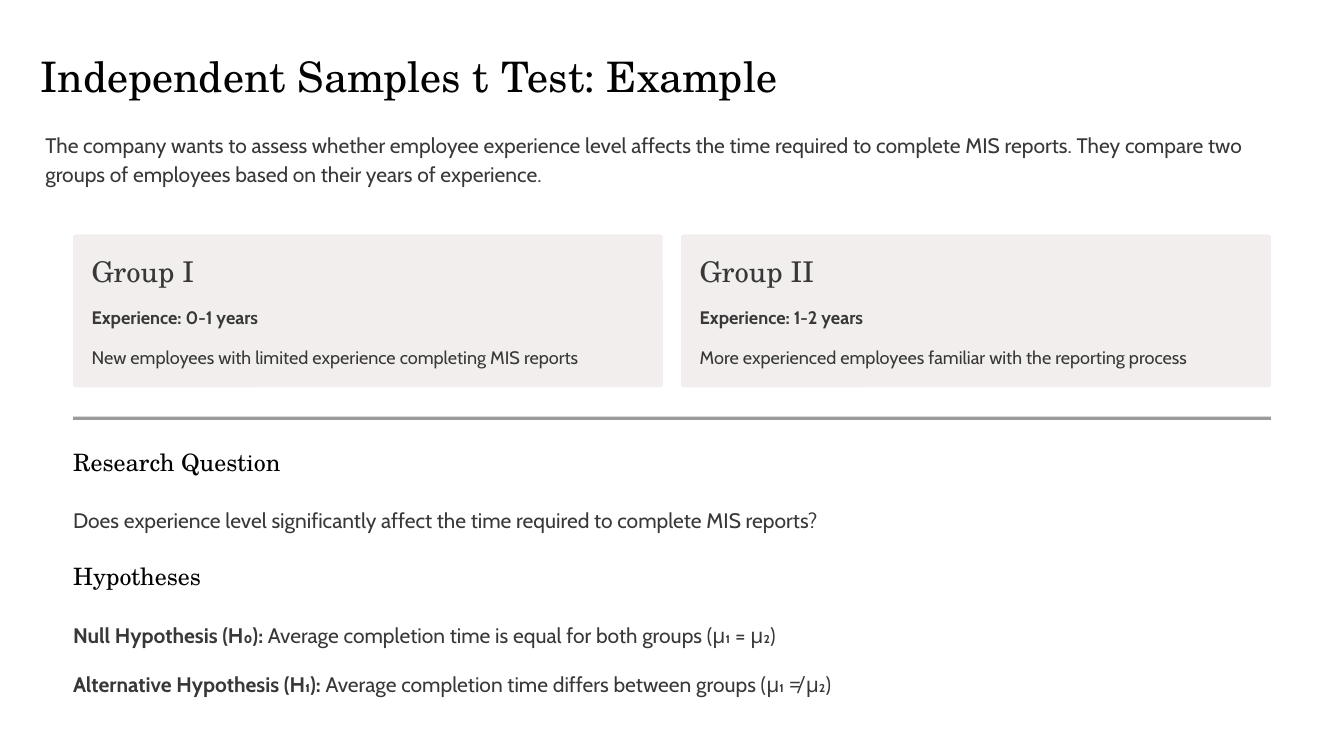
from lxml.etree import SubElement
from pptx import Presentation
from pptx.dml.color import RGBColor
from pptx.enum.shapes import MSO_SHAPE as SHAPE
from pptx.enum.text import MSO_ANCHOR as ANCHOR, MSO_AUTO_SIZE as FIT, PP_ALIGN as ALIGN
from pptx.oxml.ns import qn
from pptx.util import Inches, Pt

COLORS = {"paper": "FFFFFF", "title": "020202", "body": "383838", "card": "F2EEEE"}
SERIF, SANS = "TeX Gyre Schola", "Cabin"
LEFT, WIDE = 0.87, 14.26

deck = Presentation()
deck.slide_width, deck.slide_height = Inches(16), Inches(9)
slide = deck.slides.add_slide(deck.slide_layouts[5])
slide.background.fill.solid()
slide.background.fill.fore_color.rgb = RGBColor.from_string(COLORS["paper"])


def write(runs, x, y, w, h, size, line, face=SANS, color="body", wrap=True, box=None):
    """Fill a box, new unless given, with one line of (text, bold) runs."""
    box = box or slide.shapes.add_textbox(0, 0, 0, 0)
    box.left, box.top, box.width, box.height = (Inches(n) for n in (x, y, w, h))
    frame = box.text_frame
    frame.margin_left = frame.margin_top = frame.margin_right = frame.margin_bottom = 0
    frame.auto_size, frame.word_wrap = FIT.NONE, wrap
    frame.vertical_anchor = ANCHOR.TOP
    para = frame.paragraphs[0]
    para.alignment, para.line_spacing = ALIGN.LEFT, Pt(line)
    for text, bold in runs:
        run = para.add_run()
        run.text = text
        font = run.font
        font.name, font.size, font.bold = face, Pt(size), bold
        font.color.rgb = RGBColor.from_string(COLORS[color])


def block(kind, x, y, w, h, color):
    shape = slide.shapes.add_shape(kind, Inches(x), Inches(y), Inches(w), Inches(h))
    shape.shadow.inherit = False
    shape.line.fill.background()
    shape.fill.solid()
    shape.fill.fore_color.rgb = RGBColor.from_string(COLORS[color])
    return shape


write([("Independent Samples t Test: Example", False)], 0.48, 0.49, 9.55, 0.71,
      36, 51, SERIF, "title", False, slide.shapes.title)
write([("The company wants to assess whether employee experience level affects the time "
        "required to complete MIS reports. They compare two groups of employees based on "
        "their years of experience.", False)], 0.54, 1.53, WIDE, 0.69, 18, 25)

# Group cards
groups = [
    ("Group I", "Experience: 0-1 years",
     "New employees with limited experience completing MIS reports"),
    ("Group II", "Experience: 1-2 years",
     "More experienced employees familiar with the reporting process"),
]
for i, (name, years, note) in enumerate(groups):
    x = LEFT + i * 7.24
    card = block(SHAPE.ROUNDED_RECTANGLE, x, 2.79, 7.02, 1.82, "card")
    card.adjustments[0] = 0.018
    write([(name, False)], x + 0.22, 3.01, 3.42, 0.43, 24.5, 30.5, SERIF, wrap=False)
    write([(years, True)], x + 0.22, 3.56, 6.59, 0.35, 15.5, 25, wrap=False)
    write([(note, False)], x + 0.22, 4.04, 6.59, 0.35, 15.5, 25, wrap=False)

# Half-transparent divider
rule = block(SHAPE.RECTANGLE, LEFT, 4.96, WIDE, 0.04, "body")
tint = rule.fill._xPr.find(qn("a:solidFill"))[0]
SubElement(tint, qn("a:alpha"), val="50000")

# Question and hypotheses
for y, head in [(5.32, "Research Question"), (6.67, "Hypotheses")]:
    write([(head, False)], LEFT, y, 2.85, 0.36, 20.5, 25.5, SERIF, "title", False)
lines = [
    (6, [("Does experience level significantly affect the time required to complete "
          "MIS reports?", False)]),
    (7.36, [("Null Hypothesis (H₀):", True),
            (" Average completion time is equal for both groups (μ₁ = μ₂)", False)]),
    (7.95, [("Alternative Hypothesis (H₁):", True),
            (" Average completion time differs between groups (μ₁ ≠ μ₂)", False)]),
]
for y, runs in lines:
    write(runs, LEFT, y, WIDE, 0.35, 18, 25, wrap=False)

deck.save("out.pptx")
